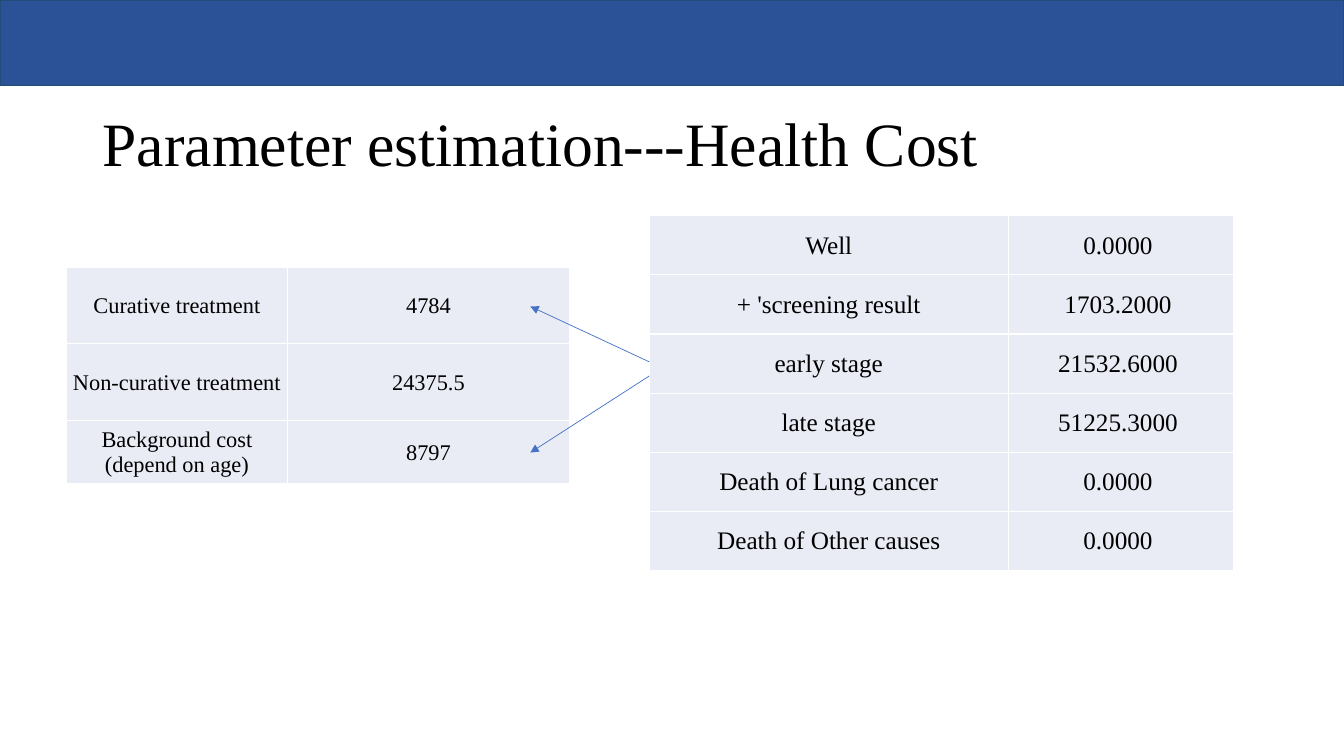
from dataclasses import dataclass

from lxml import etree
from pptx import Presentation
from pptx import util as u
from pptx.dml.color import RGBColor
from pptx.enum import shapes, text
from pptx.oxml import ns
from pptx.slide import Slide

FONT = "Times New Roman"
COLORS = {
    "banner": "2B5197",
    "banner_edge": "1F4E79",
    "cell": "E9EBF5",
    "arrow": "4472C4",
    "black": "000000",
    "white": "FFFFFF",
}


@dataclass
class CostTable:
    left: float
    top: float
    widths: list[float]
    heights: list[float]
    size: int
    rows: list[tuple[str, str]]


@dataclass
class Arrow:
    start: tuple[float, float]
    end: tuple[float, float]


TABLES = [
    CostTable(0.66, 2.65, [2.19, 2.8], [0.76, 0.76, 0.63], 16, [
        ("Curative treatment", "4784"),
        ("Non-curative treatment", "24375.5"),
        ("Background cost (depend on age)", "8797"),
    ]),
    CostTable(6.44, 2.14, [3.56, 2.24], [3.52 / 6] * 6, 18, [
        ("Well", "0.0000 "),
        ("+ 'screening result", "1703.2000 "),
        ("early stage", "21532.6000 "),
        ("late stage", "51225.3000 "),
        ("Death of Lung cancer", "0.0000 "),
        ("Death of Other causes", "0.0000 "),
    ]),
]
ARROWS = [Arrow((6.44, 3.59), (5.26, 3.04)), Arrow((6.44, 3.73), (5.26, 4.49))]


def rgb(name: str) -> RGBColor:
    return RGBColor.from_string(COLORS[name])


def style_runs(paragraph, size: int) -> None:
    for run in paragraph.runs:
        run.font.name = FONT
        run.font.size = u.Pt(size)
        run.font.color.rgb = rgb("black")


def add_banner(slide: Slide) -> None:
    banner = slide.shapes.add_shape(shapes.MSO_SHAPE.RECTANGLE, 0, 0,
                                    u.Inches(13.33), u.Inches(0.85))
    banner.shadow.inherit = False
    banner.fill.solid()
    banner.fill.fore_color.rgb = rgb("banner")
    banner.line.color.rgb = rgb("banner_edge")
    banner.line.width = u.Pt(1)


def add_title(slide: Slide) -> None:
    title = slide.shapes.add_textbox(u.Inches(0.92), u.Inches(1.05),
                                     u.Inches(11.5), u.Inches(0.8)).text_frame
    title.word_wrap = True
    title.vertical_anchor = text.MSO_ANCHOR.MIDDLE
    title.text = "Parameter estimation---Health Cost"
    title.paragraphs[0].line_spacing = 0.9
    style_runs(title.paragraphs[0], 44)


def add_borders(cell) -> None:
    # Borders must come before the fill in the cell properties
    properties = cell._tc.get_or_add_tcPr()
    for side in ("a:lnL", "a:lnR", "a:lnT", "a:lnB"):
        border = etree.SubElement(properties, ns.qn(side), w=str(u.Pt(1)))
        fill = etree.SubElement(border, ns.qn("a:solidFill"))
        etree.SubElement(fill, ns.qn("a:srgbClr"), val=COLORS["white"])


def add_cost_table(slide: Slide, costs: CostTable) -> None:
    table = slide.shapes.add_table(
        len(costs.rows), len(costs.widths), u.Inches(costs.left), u.Inches(costs.top),
        u.Inches(sum(costs.widths)), u.Inches(sum(costs.heights))).table
    table.first_row = table.horz_banding = False
    for column, width in zip(table.columns, costs.widths):
        column.width = u.Inches(width)
    for row, height, values in zip(table.rows, costs.heights, costs.rows):
        row.height = u.Inches(height)
        for cell, value in zip(row.cells, values):
            cell.margin_left = cell.margin_right = cell.margin_top = u.Inches(0.01)
            cell.margin_bottom = 0
            cell.vertical_anchor = text.MSO_ANCHOR.MIDDLE
            add_borders(cell)
            cell.fill.solid()
            cell.fill.fore_color.rgb = rgb("cell")
            cell.text_frame.text = value
            paragraph = cell.text_frame.paragraphs[0]
            paragraph.alignment = text.PP_ALIGN.CENTER
            style_runs(paragraph, costs.size)


def add_arrow(slide: Slide, arrow: Arrow) -> None:
    link = slide.shapes.add_connector(shapes.MSO_CONNECTOR.STRAIGHT,
                                      *map(u.Inches, arrow.start + arrow.end))
    link.line.color.rgb = rgb("arrow")
    link.line.width = u.Pt(0.5)
    etree.SubElement(link.line._get_or_add_ln(), ns.qn("a:tailEnd"), type="triangle")
    etree.SubElement(link._element.spPr, ns.qn("a:effectLst"))


def main() -> None:
    deck = Presentation()
    deck.slide_width, deck.slide_height = u.Inches(13.33), u.Inches(7.5)
    slide = deck.slides.add_slide(deck.slide_layouts[6])

    # Banner and title
    add_banner(slide)
    add_title(slide)

    # Cost tables and the arrows between them
    for costs in TABLES:
        add_cost_table(slide, costs)
    for arrow in ARROWS:
        add_arrow(slide, arrow)

    deck.save("out.pptx")


if __name__ == "__main__":
    main()
